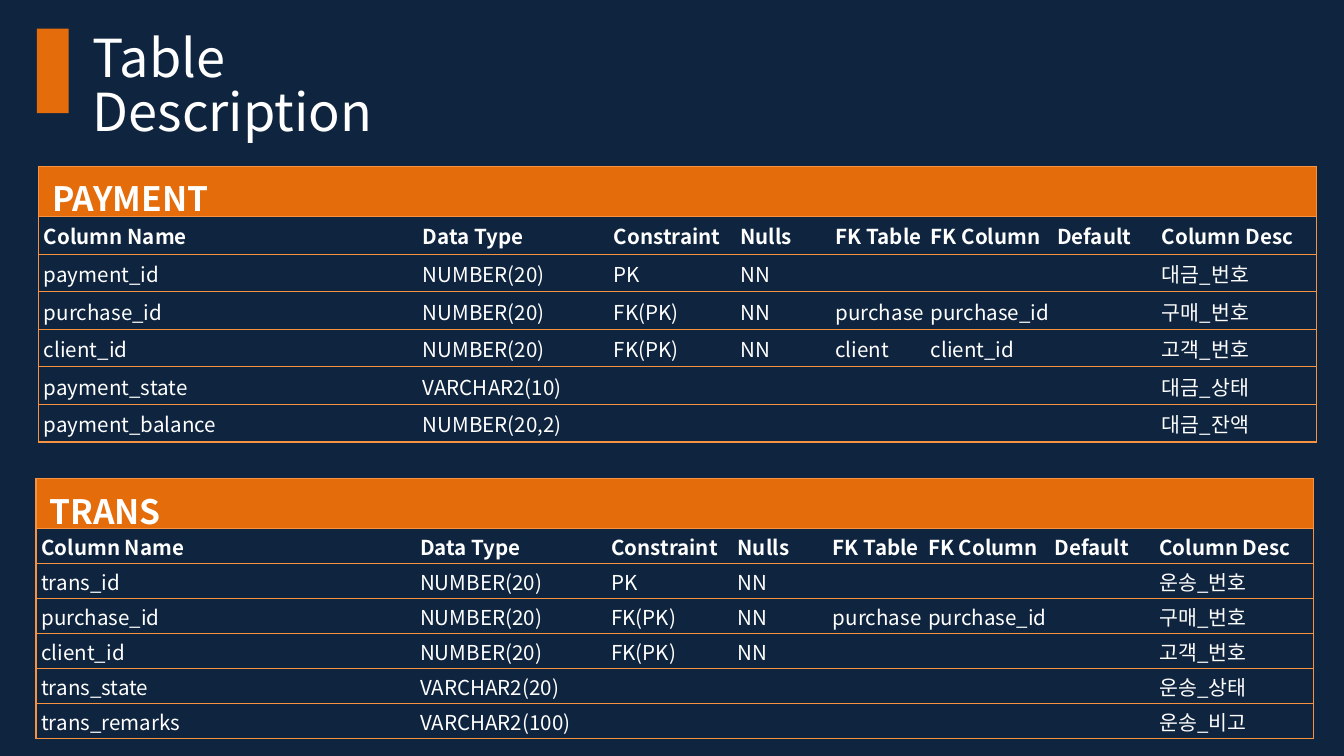
from dataclasses import dataclass
from lxml.etree import SubElement as Sub
from pptx import Presentation
from pptx.dml.color import RGBColor as Rgb
from pptx.enum.shapes import MSO_SHAPE as Kind
from pptx.enum.text import MSO_ANCHOR as Anchor, MSO_AUTO_SIZE as Auto, PP_ALIGN as Align
from pptx.oxml.ns import qn
from pptx.util import Cm, Pt


@dataclass(frozen=True)
class Theme:
    navy: str = "0F243E"
    orange: str = "E46C0A"
    line: str = "F69240"
    white: str = "FFFFFF"
    font: str = "Noto Sans CJK KR"
    title: int = 28
    head: int = 18
    body: int = 11


class Deck:
    """Hold the theme and the current slide, and draw each kind of element."""

    def __init__(self, theme, wide, high):
        self.theme = theme
        self.show = Presentation()
        self.show.slide_width, self.show.slide_height = Cm(wide), Cm(high)
        self.slide = self.show.slides.add_slide(self.show.slide_layouts[5])
        self.paint(self.slide.background.fill, theme.navy)

    def paint(self, fill, color):
        fill.solid()
        fill.fore_color.rgb = Rgb.from_string(color)

    def text(self, para, words, size, bold=False):
        run = para.add_run()
        run.text = words
        font = run.font
        font.name, font.size, font.bold = self.theme.font, Pt(size), bold
        font.color.rgb = Rgb.from_string(self.theme.white)
        Sub(run._r.get_or_add_rPr(), qn("a:ea"), typeface=self.theme.font)

    def title(self, words, *box):
        shape = self.slide.shapes.title
        shape.left, shape.top, shape.width, shape.height = map(Cm, box)
        frame = shape.text_frame
        frame.word_wrap, frame.auto_size = True, Auto.SHAPE_TO_FIT_TEXT
        frame.vertical_anchor = Anchor.TOP
        para = frame.paragraphs[0]
        para.alignment, para.line_spacing = Align.LEFT, 0.85
        self.text(para, words, self.theme.title)

    def bar(self, *box):
        shape = self.slide.shapes.add_shape(Kind.RECTANGLE, *map(Cm, box))
        shape.shadow.inherit = False
        self.paint(shape.fill, self.theme.orange)
        shape.line.fill.background()

    def edge(self, cell, sides):
        props = cell._tc.get_or_add_tcPr()
        for side in sides:
            line = Sub(props, qn(f"a:ln{side}"), w=str(Pt(0.75)))
            fill = Sub(line, qn("a:solidFill"))
            Sub(fill, qn("a:srgbClr"), val=self.theme.line)

    def cell(self, cell, words, sides, bold):
        self.edge(cell, sides)
        cell.fill.background()
        cell.vertical_anchor = Anchor.MIDDLE
        cell.margin_left, cell.margin_top = Cm(0.1), Cm(0.02)
        cell.margin_right, cell.margin_bottom = Cm(0.02), Cm(0)
        para = cell.text_frame.paragraphs[0]
        if words:
            self.text(para, words, self.theme.body, bold)
        else:
            Sub(para._p, qn("a:endParaRPr"), sz=str(self.theme.body * 100))

    def table(self, name, rows, left, top, cols, first, step):
        count, last = len(rows) + 1, len(cols) - 1
        high = first + step * len(rows)
        frame = self.slide.shapes.add_table(
            count, len(cols), Cm(left), Cm(top), Cm(sum(cols)), Cm(high))
        grid = frame.table
        grid.first_row = grid.horz_banding = False
        style = grid._tbl.tblPr.find(qn("a:tableStyleId"))
        style.text = "{2D5ABB26-0587-4C30-8999-92F81FD0307C}"
        for col, wide in zip(grid.columns, cols):
            col.width = Cm(wide)
        for num, row in enumerate(grid.rows):
            row.height = Cm(step if num else first)
        head = grid.cell(0, 0)
        head.merge(grid.cell(0, last))
        self.edge(head, "LRTB")
        self.paint(head.fill, self.theme.orange)
        head.margin_bottom = Cm(0)
        self.text(head.text_frame.paragraphs[0], name, self.theme.head, True)
        for y, row in enumerate(rows, 1):
            for x, words in enumerate(row):
                sides = "L" * (x == 0) + "R" * (x == last) + "TB"
                self.cell(grid.cell(y, x), words, sides, y == 1)


def field(name, kind, desc, rule="", table="", column=""):
    return name, kind, rule, "NN" if rule else "", table, column, "", desc


COLS = 7.16, 3.61, 2.39, 1.8, 1.8, 2.39, 1.98, 3.02
HEAD = ("Column Name", "Data Type", "Constraint", "Nulls",
        "FK Table", "FK Column", "Default", "Column Desc")
NUM, KEY = "NUMBER(20)", "FK(PK)"
BUY = field("purchase_id", NUM, "구매_번호", KEY, "purchase", "purchase_id")
PAY = [
    HEAD,
    field("payment_id", NUM, "대금_번호", "PK"),
    BUY,
    field("client_id", NUM, "고객_번호", KEY, "client", "client_id"),
    field("payment_state", "VARCHAR2(10)", "대금_상태"),
    field("payment_balance", "NUMBER(20,2)", "대금_잔액"),
]
TRANS = [
    HEAD,
    field("trans_id", NUM, "운송_번호", "PK"),
    BUY,
    field("client_id", NUM, "고객_번호", KEY),
    field("trans_state", "VARCHAR2(20)", "운송_상태"),
    field("trans_remarks", "VARCHAR2(100)", "운송_비고"),
]

deck = Deck(Theme(), 25.4, 14.28)
deck.bar(0.7, 0.54, 0.6, 1.6)
deck.title("Table Description", 1.5, 0.54, 8.3, 1.45)
deck.table("PAYMENT", PAY, 0.73, 3.14, COLS, 0.95, 0.71)
deck.table("TRANS", TRANS, 0.68, 9.04, COLS, 0.95, 0.66)
deck.show.save("out.pptx")
